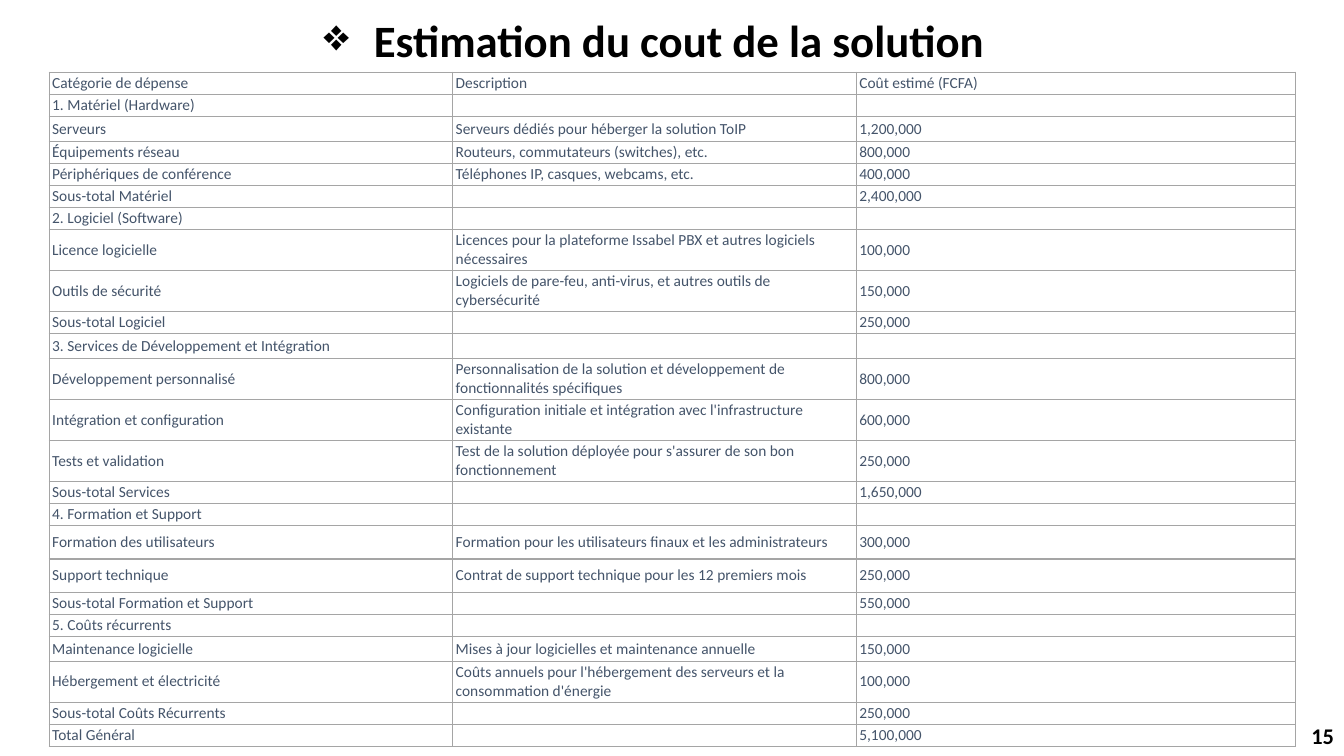
from lxml.etree import SubElement
from pptx import Presentation
from pptx.dml.color import RGBColor
from pptx.enum.text import MSO_ANCHOR, PP_ALIGN
from pptx.oxml.ns import qn
from pptx.util import Pt

BLACK = RGBColor(0x00, 0x00, 0x00)
SLATE = RGBColor(0x44, 0x54, 0x6A)
GRAY = RGBColor(0xA5, 0xA5, 0xA5)
FONT = "Calibri"

SINGLE, MEDIUM, TALL, DOUBLE = 15.12, 17.7, 23.76, 27.36
COLUMN_WIDTHS = (288.3, 288.3, 313.8)
COSTS = [
    (SINGLE, "Catégorie de dépense", "Description", "Coût estimé (FCFA)"),
    (SINGLE, "1. Matériel (Hardware)", "", ""),
    (MEDIUM, "Serveurs", "Serveurs dédiés pour héberger la solution ToIP", "1,200,000"),
    (SINGLE, "Équipements réseau", "Routeurs, commutateurs (switches), etc.", "800,000"),
    (SINGLE, "Périphériques de conférence", "Téléphones IP, casques, webcams, etc.", "400,000"),
    (SINGLE, "Sous-total Matériel", "", "2,400,000"),
    (SINGLE, "2. Logiciel (Software)", "", ""),
    (DOUBLE, "Licence logicielle",
     "Licences pour la plateforme Issabel PBX et autres logiciels nécessaires", "100,000"),
    (DOUBLE, "Outils de sécurité",
     "Logiciels de pare-feu, anti-virus, et autres outils de cybersécurité", "150,000"),
    (SINGLE, "Sous-total Logiciel", "", "250,000"),
    (MEDIUM, "3. Services de Développement et Intégration", "", ""),
    (DOUBLE, "Développement personnalisé",
     "Personnalisation de la solution et développement de fonctionnalités spécifiques", "800,000"),
    (DOUBLE, "Intégration et configuration",
     "Configuration initiale et intégration avec l'infrastructure existante", "600,000"),
    (DOUBLE, "Tests et validation",
     "Test de la solution déployée pour s'assurer de son bon fonctionnement", "250,000"),
    (SINGLE, "Sous-total Services", "", "1,650,000"),
    (SINGLE, "4. Formation et Support", "", ""),
    (TALL, "Formation des utilisateurs",
     "Formation pour les utilisateurs finaux et les administrateurs", "300,000"),
    (TALL, "Support technique", "Contrat de support technique pour les 12 premiers mois", "250,000"),
    (SINGLE, "Sous-total Formation et Support", "", "550,000"),
    (SINGLE, "5. Coûts récurrents", "", ""),
    (MEDIUM, "Maintenance logicielle", "Mises à jour logicielles et maintenance annuelle", "150,000"),
    (DOUBLE, "Hébergement et électricité",
     "Coûts annuels pour l'hébergement des serveurs et la consommation d'énergie", "100,000"),
    (SINGLE, "Sous-total Coûts Récurrents", "", "250,000"),
    (SINGLE, "Total Général", "", "5,100,000"),
]


def write_text(text_frame, text, size=11, color=SLATE, bold=False, align=PP_ALIGN.LEFT, bullet=None):
    """Write one formatted paragraph, with an optional hanging bullet."""
    paragraph = text_frame.paragraphs[0]
    paragraph.alignment = align
    if bullet:
        properties = paragraph._p.get_or_add_pPr()
        properties.set("marL", str(Pt(36)))
        properties.set("indent", str(-Pt(36)))
        SubElement(properties, qn("a:buChar"), char=bullet)
    if not text:
        SubElement(paragraph._p, qn("a:endParaRPr"), sz=str(size * 100))
        return
    run = paragraph.add_run()
    run.text = text
    run.font.name = FONT
    run.font.size = Pt(size)
    run.font.bold = bold
    run.font.color.rgb = color


def add_text_box(slide, box, text, anchor=MSO_ANCHOR.TOP, **text_format):
    """Add a wrapping text box in the given box."""
    text_frame = slide.shapes.add_textbox(*map(Pt, box)).text_frame
    text_frame.word_wrap = True
    text_frame.vertical_anchor = anchor
    write_text(text_frame, text, **text_format)


def format_cell(cell):
    """Give a cell its margins, borders and empty fill."""
    cell.margin_left = cell.margin_right = Pt(2.16)
    cell.margin_top = cell.margin_bottom = Pt(1.1)
    cell.vertical_anchor = MSO_ANCHOR.MIDDLE
    properties = cell._tc.get_or_add_tcPr()
    for side in ("lnL", "lnR", "lnT", "lnB"):
        line = SubElement(properties, qn(f"a:{side}"), w=str(Pt(1)))
        fill = SubElement(line, qn("a:solidFill"))
        SubElement(fill, qn("a:srgbClr"), val=str(GRAY))
    cell.fill.background()


def add_cost_table(slide, box):
    """Add the table of estimated costs in the given box."""
    table = slide.shapes.add_table(len(COSTS), len(COLUMN_WIDTHS), *map(Pt, box)).table
    table.first_row = table.horz_banding = False
    for column, width in zip(table.columns, COLUMN_WIDTHS):
        column.width = Pt(width)
    for row, (height, *texts) in zip(table.rows, COSTS):
        row.height = Pt(height)
        for cell, text in zip(row.cells, texts):
            format_cell(cell)
            write_text(cell.text_frame, text)


def build_cost_slide(presentation):
    """Build the slide of the solution's estimated cost."""
    slide = presentation.slides.add_slide(presentation.slide_layouts[6])
    add_cost_table(slide, (35.1, 51.6, sum(COLUMN_WIDTHS), 476))
    add_text_box(slide, (224, 5.8, 511, 46), "Estimation du cout de la solution",
                 size=32, color=BLACK, bold=True, bullet="❖")
    add_text_box(slide, (744, 511, 216, 29), "15", anchor=MSO_ANCHOR.MIDDLE,
                 size=16, color=BLACK, bold=True, align=PP_ALIGN.RIGHT)


def main():
    """Create and save the presentation."""
    presentation = Presentation()
    presentation.slide_width = Pt(960)
    presentation.slide_height = Pt(540)
    build_cost_slide(presentation)
    presentation.save("out.pptx")


if __name__ == "__main__":
    main()
